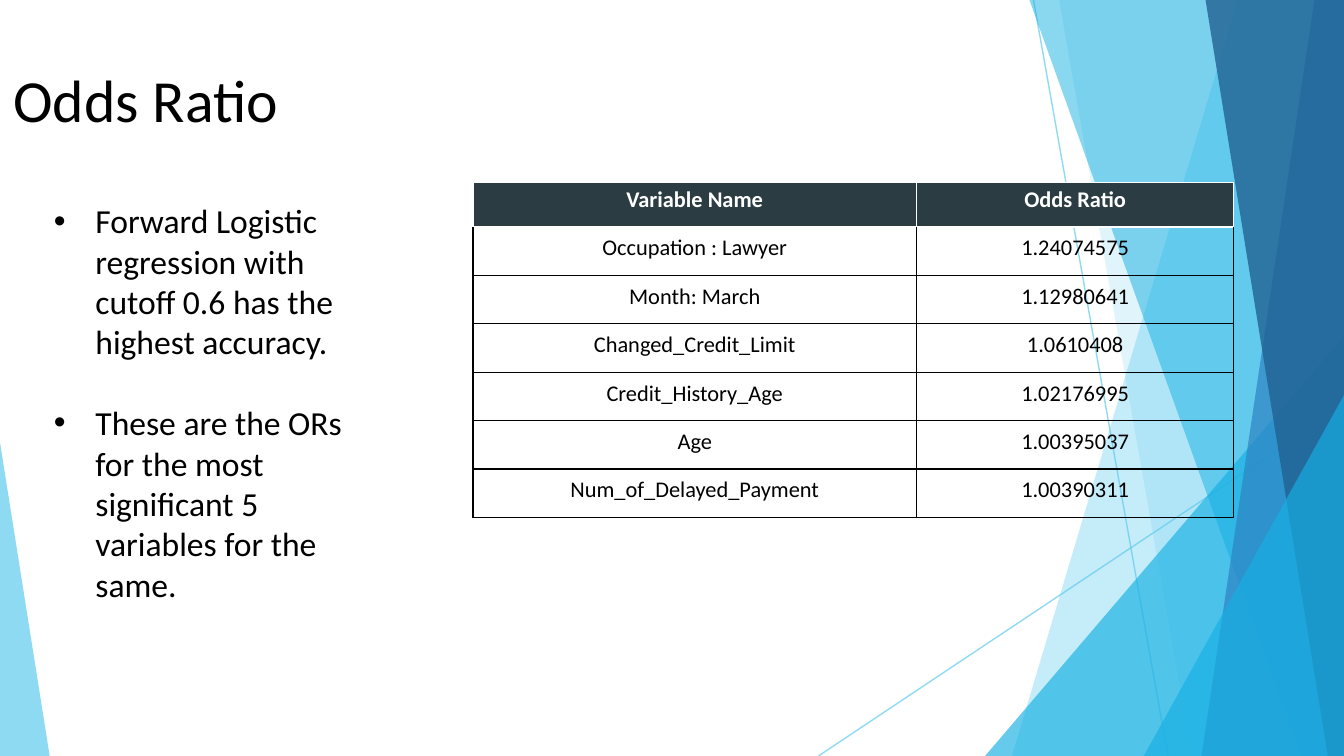
from lxml.etree import SubElement
from pptx import Presentation
from pptx.dml.color import RGBColor
from pptx.enum.shapes import MSO_CONNECTOR, MSO_SHAPE
from pptx.enum.text import MSO_ANCHOR, MSO_AUTO_SIZE, PP_ALIGN
from pptx.oxml import parse_xml
from pptx.oxml.ns import nsdecls, qn
from pptx.util import Inches, Pt

WIDTH = 10
HEIGHT = WIDTH * 9 / 16
SKY, AZURE, BLUE, NAVY, SLATE = "5FCBEF", "16B0E3", "2E83C3", "226292", "2C3C43"
BLACK, WHITE = "000000", "FFFFFF"

ODDS = [
    ("Variable Name", "Odds Ratio"),
    ("Occupation : Lawyer", "1.24074575"),
    ("Month: March", "1.12980641"),
    ("Changed_Credit_Limit", "1.0610408"),
    ("Credit_History_Age", "1.02176995"),
    ("Age", "1.00395037"),
    ("Num_of_Delayed_Payment", "1.00390311"),
]
FINDINGS = [
    "Forward Logistic regression with cutoff 0.6 has the highest accuracy.",
    "These are the ORs for the most significant 5 variables for the same.",
]


def color(hex_code):
    return RGBColor.from_string(hex_code)


def style_font(font, size, hex_code, bold=False):
    font.name = "Calibri"
    font.size = Pt(size)
    font.bold = bold
    font.color.rgb = color(hex_code)


def set_opacity(shape, percent):
    for node in shape._element.spPr.iter(qn("a:srgbClr")):
        SubElement(node, qn("a:alpha"), val=str(percent * 1000))


def paint(shape, hex_code, opacity):
    shape.shadow.inherit = False
    shape.fill.solid()
    shape.fill.fore_color.rgb = color(hex_code)
    shape.line.fill.background()
    set_opacity(shape, opacity)


def add_ray(page, start, end):
    ray = page.shapes.add_connector(
        MSO_CONNECTOR.STRAIGHT, *(Inches(value) for value in start + end))
    ray.line.color.rgb = color(SKY)
    ray.line.width = Pt(0.75)
    set_opacity(ray, 70)
    SubElement(ray._element.spPr, qn("a:effectLst"))


def add_band(page, top_left, bottom_left, hex_code, opacity):
    builder = page.shapes.build_freeform(Inches(top_left), 0, scale=1.0)
    corners = [(WIDTH, 0), (WIDTH, HEIGHT), (bottom_left, HEIGHT)]
    builder.add_line_segments([(Inches(x), Inches(y)) for x, y in corners], close=True)
    paint(builder.convert_to_shape(), hex_code, opacity)


def add_triangle(page, left, top, width, apex, hex_code, opacity):
    triangle = page.shapes.add_shape(
        MSO_SHAPE.ISOSCELES_TRIANGLE,
        Inches(left), Inches(top), Inches(width), Inches(HEIGHT - top))
    triangle.adjustments[0] = apex
    paint(triangle, hex_code, opacity)


def add_backdrop(page):
    add_ray(page, (7.69, 0), (8.69, HEIGHT))
    add_ray(page, (WIDTH, 3.02), (6.09, HEIGHT))
    add_band(page, 9.21, 7.53, SKY, 36)
    add_band(page, 7.88, 8.87, SKY, 20)
    add_triangle(page, 7.33, 2.5, 2.67, 1, AZURE, 66)
    add_band(page, 7.66, 9.68, AZURE, 50)
    add_band(page, 9.78, 8.94, BLUE, 70)
    add_band(page, 8.97, 9.88, NAVY, 80)
    add_triangle(page, 8.51, 2.94, 1.49, 1, AZURE, 66)
    add_triangle(page, 0, 3.29, 0.37, 0, SKY, 70)


def place(page, holder, left, top, width, height):
    page.shapes._spTree.append(holder._element)
    holder.left, holder.top = Inches(left), Inches(top)
    holder.width, holder.height = Inches(width), Inches(height)
    frame = holder.text_frame
    frame.word_wrap = True
    frame.vertical_anchor = MSO_ANCHOR.TOP
    return frame


def fill_title(page, left, top, width, height):
    frame = place(page, page.shapes.title, left, top, width, height)
    frame.auto_size = MSO_AUTO_SIZE.NONE
    frame.margin_left = frame.margin_right = Inches(0.1)
    frame.margin_top = frame.margin_bottom = Inches(0.1)
    frame.text = "Odds Ratio"
    para = frame.paragraphs[0]
    para.alignment = PP_ALIGN.LEFT
    style_font(para.runs[0].font, 32, BLACK)


def add_bullet(para):
    props = para._p.get_or_add_pPr()
    props.set("marL", str(Inches(0.31)))
    props.set("indent", str(-Inches(0.31)))
    bullet_color = SubElement(props, qn("a:buClr"))
    SubElement(bullet_color, qn("a:srgbClr"), val=BLACK)
    SubElement(props, qn("a:buFont"), typeface="Arial")
    SubElement(props, qn("a:buChar"), char="•")


def fill_findings(page, left, top, width, height):
    frame = place(page, page.placeholders[1], left, top, width, height)
    frame.auto_size = MSO_AUTO_SIZE.SHAPE_TO_FIT_TEXT
    frame.margin_left = frame.margin_right = Inches(0.1)
    frame.margin_top = frame.margin_bottom = Inches(0.05)
    for index, finding in enumerate(FINDINGS):
        para = frame.paragraphs[0] if index == 0 else frame.add_paragraph()
        para.text = finding
        add_bullet(para)
        para.space_before = Pt(21.75 if index else 0)
        style_font(para.runs[0].font, 18, BLACK)


def set_borders(cell, row):
    props = cell._tc.get_or_add_tcPr()
    for index, side in enumerate("LRTB"):
        is_white = row == 0 or (row == 1 and side == "T")
        props.insert(index, parse_xml(
            f'<a:ln{side} {nsdecls("a")} w="{Pt(0.75)}"><a:solidFill>'
            f'<a:srgbClr val="{WHITE if is_white else BLACK}"/>'
            f'</a:solidFill></a:ln{side}>'))


def fill_cell(cell, text, row, column):
    is_header = row == 0
    cell.text = text
    cell.vertical_anchor = MSO_ANCHOR.BOTTOM
    cell.margin_left = cell.margin_right = cell.margin_top = Inches(0.01)
    cell.margin_bottom = Inches(0.1)
    if is_header:
        cell.fill.solid()
        cell.fill.fore_color.rgb = color(SLATE)
    else:
        cell.fill.background()
    set_borders(cell, row)
    para = cell.text_frame.paragraphs[0]
    para.alignment = PP_ALIGN.CENTER
    if column == 1 and not is_header:
        para.line_spacing = 1.15
    style_font(para.runs[0].font, 12, WHITE if is_header else BLACK, is_header)


def add_odds_table(page, left, top, width, height):
    header_height, name_width = 0.33, 3.3
    table = page.shapes.add_table(
        len(ODDS), 2, Inches(left), Inches(top), Inches(width), Inches(height)).table
    table.first_row = table.horz_banding = False
    table.columns[0].width = Inches(name_width)
    table.columns[1].width = Inches(width - name_width)
    body_height = (height - header_height) / (len(ODDS) - 1)
    for row, values in enumerate(ODDS):
        table.rows[row].height = Inches(body_height if row else header_height)
        for column, text in enumerate(values):
            fill_cell(table.cell(row, column), text, row, column)


def main():
    deck = Presentation()
    deck.slide_width, deck.slide_height = Inches(WIDTH), Inches(HEIGHT)
    page = deck.slides.add_slide(deck.slide_layouts[1])
    add_backdrop(page)
    fill_title(page, 0, 0.37, 9.33, 0.69)
    add_odds_table(page, 3.52, 1.36, 5.66, 2.49)
    fill_findings(page, 0.3, 1.44, 2.62, 3.13)
    deck.save("out.pptx")


if __name__ == "__main__":
    main()
